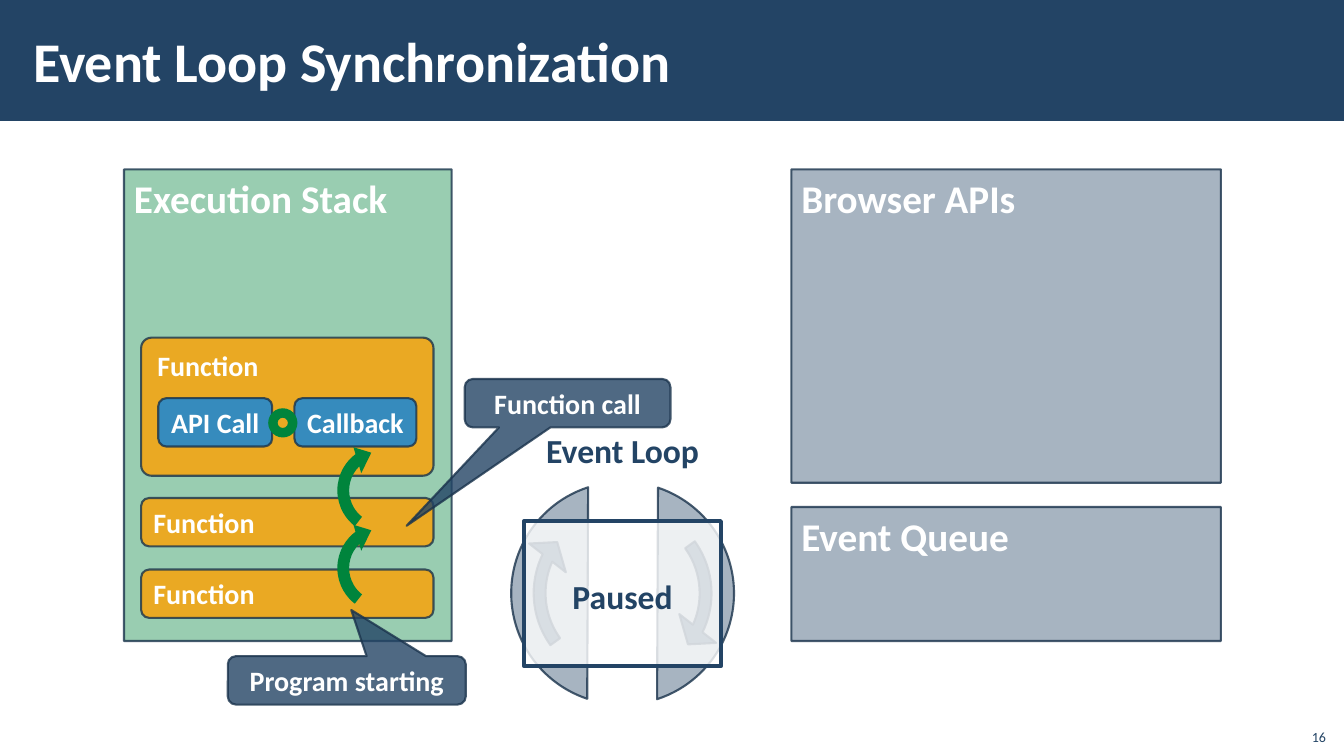
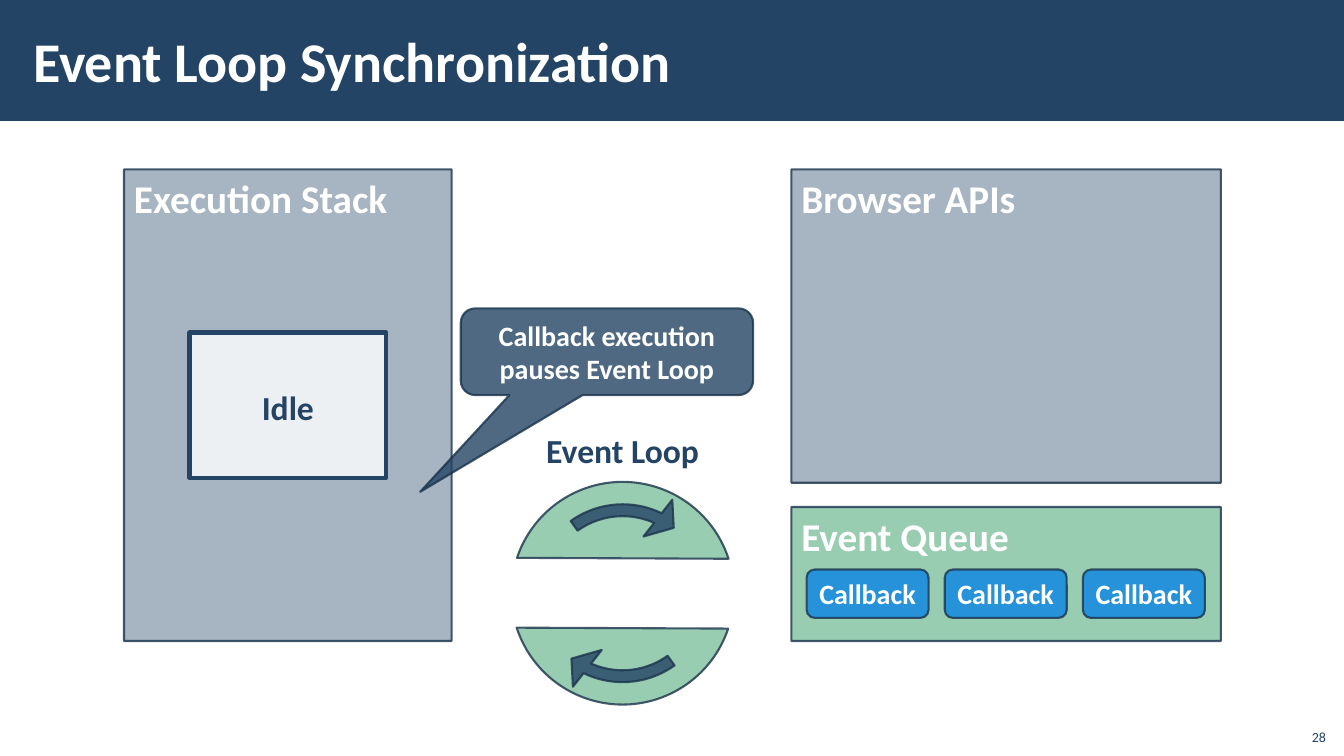
"""Build two slides that show how the event loop works with the stack and the queue."""
from lxml.etree import SubElement
from pptx import Presentation
from pptx.dml.color import RGBColor
from pptx.enum.shapes import MSO_SHAPE
from pptx.enum.text import MSO_ANCHOR, PP_ALIGN
from pptx.oxml.ns import qn
from pptx.util import Inches, Pt

HUES = {"navy": "234465", "edge": "1A334C", "green": "00843C",
        "gold": "FFA000", "blue": "0984E4", "white": "FFFFFF"}
LEFT, MID, RIGHT = PP_ALIGN.LEFT, PP_ALIGN.CENTER, PP_ALIGN.RIGHT
RECT, ROUND = MSO_SHAPE.RECTANGLE, MSO_SHAPE.ROUNDED_RECTANGLE
NOTE, ARROW = MSO_SHAPE.ROUNDED_RECTANGULAR_CALLOUT, MSO_SHAPE.CIRCULAR_ARROW


def tint(fill, hue, alpha):
    fill.solid()
    fill.fore_color.rgb = RGBColor.from_string(HUES[hue])
    if alpha < 100:
        color = fill._xPr.find(".//" + qn("a:srgbClr"))
        SubElement(color, qn("a:alpha"), val=str(alpha * 1000))


def put(slide, kind, at, text="", fill=None, alpha=80, line="edge", adj=(), turn=0,
        size=20, hue="white", bold=True, align=LEFT, anchor=MSO_ANCHOR.MIDDLE,
        wrap=True, inset=(0.1, 0.05), space=None):
    spot = [Inches(v) for v in at]
    if kind is None:
        shape = slide.shapes.add_textbox(*spot)
    else:
        shape = slide.shapes.add_shape(kind, *spot)
        shape.shadow.inherit = False
        shape.rotation = turn
        for i, value in enumerate(adj):
            shape.adjustments[i] = value
        tint(shape.fill, fill, alpha)
        if line:
            tint(shape.line.fill, line, 80 if line == "edge" else 100)
            shape.line.width = Pt(1.5 if line == "edge" else 3)
        else:
            shape.line.fill.background()
    if text:
        frame = shape.text_frame
        frame.word_wrap = wrap
        frame.vertical_anchor = anchor
        frame.margin_left = frame.margin_right = Inches(inset[0])
        frame.margin_top = frame.margin_bottom = Inches(inset[1])
        para = frame.paragraphs[0]
        para.alignment = align
        if space:
            para.line_spacing = space
        run = para.add_run()
        run.text = text
        run.font.name, run.font.size, run.font.bold = "Calibri", Pt(size), bold
        run.font.color.rgb = RGBColor.from_string(HUES[hue])


deck = Presentation()
deck.slide_width, deck.slide_height = Inches(13.33), Inches(7.5)

PANELS = [("Execution Stack", (1.23, 1.68, 3.25, 4.68)),
          ("Browser APIs", (7.85, 1.68, 4.26, 3.11)),
          ("Event Queue", (7.85, 5.03, 4.26, 1.33))]
PAGES = [("16", "Execution Stack", "navy", 90), ("28", "Event Queue", "green", 180)]
LABEL = dict(size=24, hue="navy", align=MID, inset=(0.16, 0.12), space=1.1)
CALL = dict(fill="blue", align=MID, wrap=False)

slides = []
for number, busy, loop, spin in PAGES:
    slide = deck.slides.add_slide(deck.slide_layouts[6])
    slides.append(slide)
    put(slide, RECT, (0, 0, 13.33, 1.2), fill="navy", alpha=100, line=None)
    put(slide, None, (12.85, 7.12, 0.4, 0.32), number, size=10, hue="navy",
        bold=False, align=RIGHT, anchor=MSO_ANCHOR.BOTTOM)
    put(slide, None, (0.21, 0.11, 10.63, 0.97), "Event Loop Synchronization",
        size=40, inset=(0.12, 0.04))
    for name, at in PANELS:
        put(slide, RECT, at, name, fill="green" if name == busy else "navy",
            alpha=40, size=28, anchor=MSO_ANCHOR.TOP)
    put(slide, None, (5.25, 4.12, 1.85, 0.66), "Event Loop", wrap=False, **LABEL)
    for half in (0, 180):
        put(slide, MSO_SHAPE.CHORD, (5.07, 4.78, 2.21, 2.21), fill=loop, alpha=40,
            adj=(0.11113 * 100, 0.97179 * 100), turn=spin + half)
    for half in (0, 180):
        put(slide, ARROW, (5.12, 4.83, 2.11, 2.11), fill="navy",
            adj=(0.056, 7.733, 123.085, 86.546, 0.11), turn=(spin + 90 + half) % 360)

run, idle = slides

for top in (5.65, 4.94):
    put(run, ROUND, (1.4, top, 2.9, 0.48), "Function", fill="gold")
put(run, NOTE, (2.26, 6.51, 2.36, 0.48), "Program starting", fill="navy",
    align=MID, adj=(0.019, -1.455, 0.167))
put(run, NOTE, (4.61, 3.76, 2.04, 0.48), "Function call", fill="navy",
    align=MID, adj=(-0.783, 2.535, 0.167))
put(run, RECT, (5.2, 5.17, 1.95, 1.44), "Paused", fill="white", line="navy", **LABEL)
put(run, ROUND, (1.4, 3.35, 2.9, 1.37), "Function", fill="gold", adj=(0.076,),
    anchor=MSO_ANCHOR.TOP, inset=(0.13, 0.08))
for name, left, width in (("API Call", 1.57, 1.13), ("Callback", 2.92, 1.21)):
    put(run, ROUND, (left, 3.95, width, 0.48), name, **CALL)
put(run, MSO_SHAPE.DONUT, (2.66, 4.05, 0.29, 0.29), fill="green", alpha=100,
    line=None, adj=(0.324,))
for top in (5.11, 4.34):
    put(run, ARROW, (3.27, top, 1.05, 1.05), fill="green", alpha=100, line=None,
        adj=(0.111, 13.87, 138.072, 76.745, 0.128))

for i in range(3):
    put(idle, ROUND, (8 + 1.37 * i, 5.65, 1.21, 0.48), "Callback", **CALL)
put(idle, RECT, (1.88, 3.3, 1.95, 1.44), "Idle", fill="white", line="navy", **LABEL)
put(idle, NOTE, (4.57, 3.06, 2.9, 0.86), "Callback execution pauses Event Loop",
    fill="navy", align=MID, adj=(-0.639, 1.617, 0.167))

deck.save("out.pptx")
